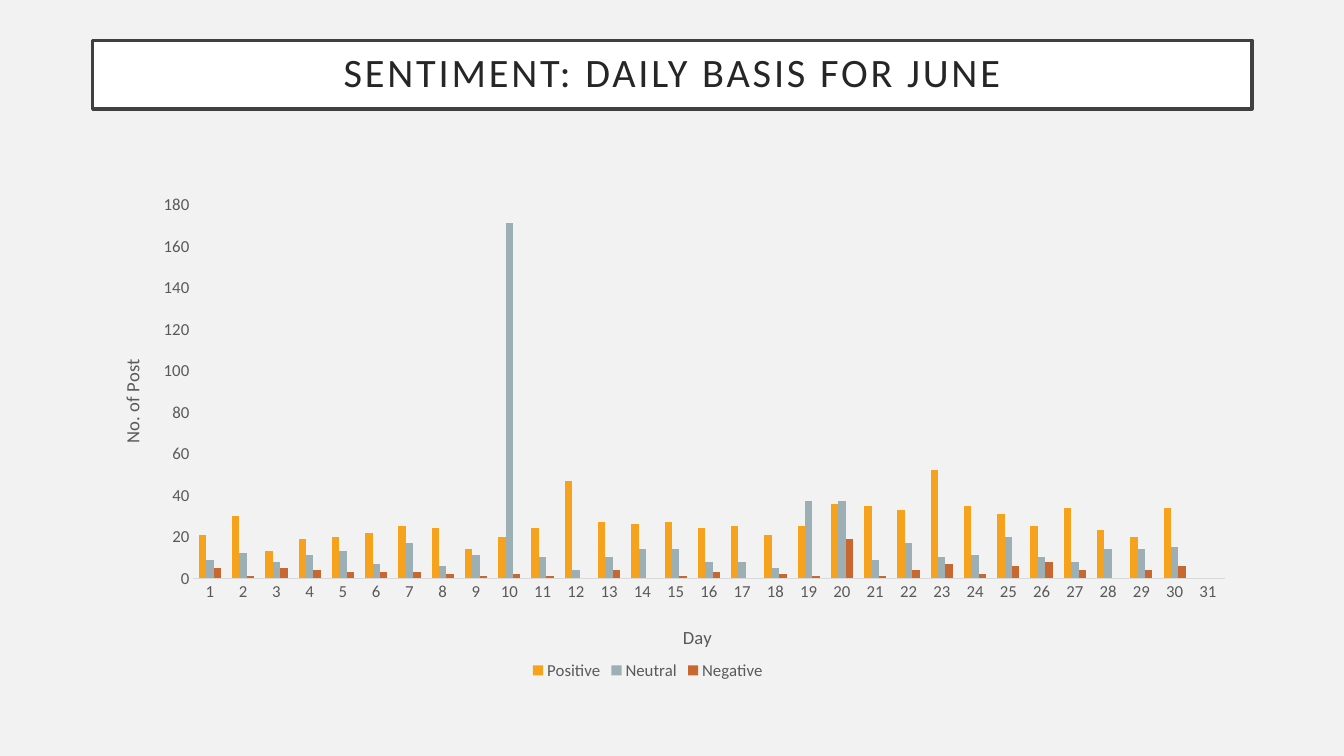
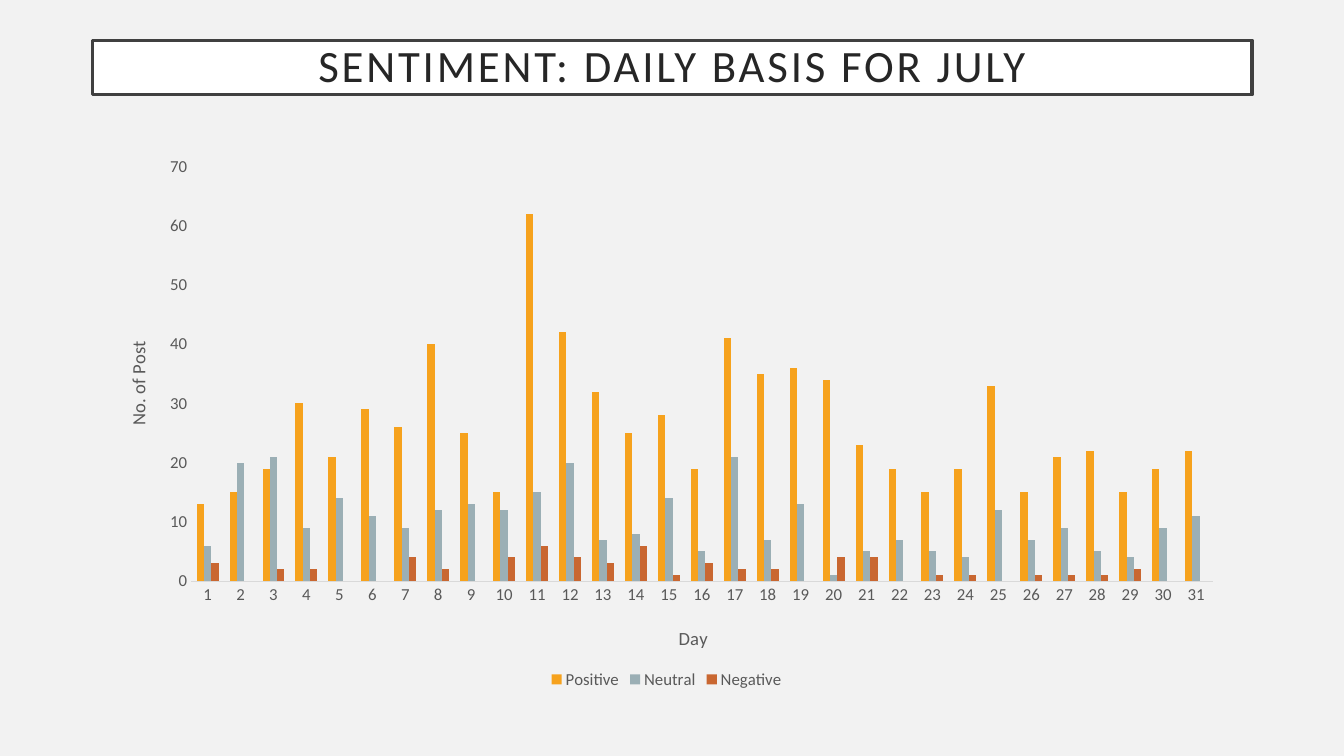
from dataclasses import dataclass
from lxml.etree import SubElement
from pptx import Presentation
from pptx.chart.data import CategoryChartData
from pptx.dml.color import RGBColor
from pptx.enum.chart import XL_CHART_TYPE, XL_LEGEND_POSITION, XL_TICK_MARK
from pptx.enum.text import MSO_ANCHOR, MSO_AUTO_SIZE, PP_ALIGN
from pptx.oxml.ns import qn
from pptx.util import Inches, Pt


@dataclass(frozen=True)
class Theme:
    font: str = "Calibri"
    background: str = "F2F2F2"
    band: str = "FFFFFF"
    border: str = "404040"
    title: str = "262626"
    text: str = "595959"
    axis: str = "D9D9D9"
    series: tuple = ("F6A21D", "9BAFB5", "C96731")
    label_size: float = 12
    axis_title_size: float = 13.3


theme = Theme()


def style(font, size, color):
    font.name, font.size, font.bold = theme.font, Pt(size), False
    font.color.rgb = RGBColor.from_string(color)


def place(parent, index, frame, box, inner=False):
    """Lay out a chart part; frame and box are in percent of the slide."""
    for old in parent.findall(qn("c:layout")):
        parent.remove(old)
    layout = SubElement(parent, qn("c:layout"))
    parent.insert(index, layout)
    manual = SubElement(layout, qn("c:manualLayout"))
    left, top, width, height = frame
    values = [("x", (box[0] - left) / width), ("y", (box[1] - top) / height)]
    if inner:
        SubElement(manual, qn("c:layoutTarget")).set("val", "inner")
        values += [("w", box[2] / width), ("h", box[3] / height)]
    for key in ("xMode", "yMode"):
        SubElement(manual, qn(f"c:{key}")).set("val", "edge")
    for key, value in values:
        SubElement(manual, qn(f"c:{key}")).set("val", f"{value:.4f}")


# Content: boxes are in percent of the slide's width and height
months = [
    dict(
        title="SENTIMENT: DAILY BASIS FOR JUNE", size=28.8, band_height=9.07,
        frame=(4.28, 18.53, 87.85, 72), plot=(14.38, 27.1, 76.74, 49.4),
        day=(50.56, 82.13), posts=(8.63, 47.07), top=180, step=20,
        Positive=[21, 30, 13, 19, 20, 22, 25, 24, 14, 20, 24, 47, 27, 26, 27, 24,
                  25, 21, 25, 36, 35, 33, 52, 35, 31, 25, 34, 23, 20, 34, None],
        Neutral=[9, 12, 8, 11, 13, 7, 17, 6, 11, 171, 10, 4, 10, 14, 14, 8,
                 8, 5, 37, 37, 9, 17, 10, 11, 20, 10, 8, 14, 14, 15, None],
        Negative=[5, 1, 5, 4, 3, 3, 3, 2, 1, 2, 1, None, 4, None, 1, 3,
                  None, 2, 1, 19, 1, 4, 7, 2, 6, 8, 4, None, 4, 6, None],
    ),
    dict(
        title="SENTIMENT: DAILY BASIS FOR JULY", size=32, band_height=7.2,
        frame=(7.88, 19.73, 83.42, 72), plot=(14.22, 22.03, 76, 54.86),
        day=(50.25, 82.27), posts=(9.08, 44.67), top=70, step=10,
        Positive=[13, 15, 19, 30, 21, 29, 26, 40, 25, 15, 62, 42, 32, 25, 28, 19,
                  41, 35, 36, 34, 23, 19, 15, 19, 33, 15, 21, 22, 15, 19, 22],
        Neutral=[6, 20, 21, 9, 14, 11, 9, 12, 13, 12, 15, 20, 7, 8, 14, 5,
                 21, 7, 13, 1, 5, 7, 5, 4, 12, 7, 9, 5, 4, 9, 11],
        Negative=[3, None, 2, 2, None, None, 4, 2, None, 4, 6, 4, 3, 6, 1, 3,
                  2, 2, None, 4, 4, None, 1, 1, None, 1, 1, 1, 2, None, None],
    ),
]

# Presentation and shared background
prs = Presentation()
prs.slide_width, prs.slide_height = Inches(13.33), Inches(7.5)
col, row = prs.slide_width / 100, prs.slide_height / 100
fill = prs.slide_master.background.fill
fill.solid()
fill.fore_color.rgb = RGBColor.from_string(theme.background)

for month in months:
    s = prs.slides.add_slide(prs.slide_layouts[5])

    # Title band
    sp = s.shapes.title
    sp.left, sp.top = int(6.9 * col), int(5.33 * row)
    sp.width, sp.height = int(86.25 * col), int(month["band_height"] * row)
    sp.fill.solid()
    sp.fill.fore_color.rgb = RGBColor.from_string(theme.band)
    sp.line.color.rgb = RGBColor.from_string(theme.border)
    sp.line.width = Pt(2.5)
    tf = sp.text_frame
    tf.text = month["title"]
    tf.word_wrap, tf.auto_size = True, MSO_AUTO_SIZE.NONE
    tf.vertical_anchor = MSO_ANCHOR.MIDDLE
    tf.margin_left = tf.margin_right = Inches(0.2)
    tf.margin_top = tf.margin_bottom = 0
    p = tf.paragraphs[0]
    p.alignment, p.line_spacing = PP_ALIGN.CENTER, 0.9
    r = p.runs[0]
    style(r.font, month["size"], theme.title)
    r.font._element.set("spc", "200")

    # Chart of posts by day
    data = CategoryChartData()
    data.categories = [str(day) for day in range(1, 32)]
    for name in ("Positive", "Neutral", "Negative"):
        data.add_series(name, month[name])
    frame = month["frame"]
    left, top, width, height = (int(v * unit) for v, unit in zip(frame, (col, row) * 2))
    chart = s.shapes.add_chart(
        XL_CHART_TYPE.COLUMN_CLUSTERED, left, top, width, height, data).chart
    style(chart.font, theme.label_size, theme.text)
    chart.has_title = False
    plot = chart.plots[0]
    plot.gap_width, plot.overlap, plot.vary_by_categories = 150, 0, False
    for series, color in zip(plot.series, theme.series):
        series.format.fill.solid()
        series.format.fill.fore_color.rgb = RGBColor.from_string(color)
        series.invert_if_negative = False
    place(chart._chartSpace.chart.plotArea, 0, frame, month["plot"], inner=True)

    # Legend
    chart.has_legend = True
    chart.legend.position = XL_LEGEND_POSITION.BOTTOM
    chart.legend.include_in_layout = False
    style(chart.legend.font, theme.label_size, theme.text)

    # Axes and their titles
    for axis, label, spot in ((chart.category_axis, "Day", month["day"]),
                              (chart.value_axis, "No. of Post", month["posts"])):
        axis.has_major_gridlines = False
        axis.major_tick_mark = axis.minor_tick_mark = XL_TICK_MARK.NONE
        style(axis.tick_labels.font, theme.label_size, theme.text)
        tf = axis.axis_title.text_frame
        tf.text = label
        style(tf.paragraphs[0].runs[0].font, theme.axis_title_size, theme.text)
        place(axis.axis_title._element, 1, frame, spot)
    line = chart.category_axis.format.line
    line.color.rgb, line.width = RGBColor.from_string(theme.axis), Pt(0.75)
    axis = chart.value_axis
    axis.format.line.fill.background()
    axis.minimum_scale, axis.maximum_scale = 0, month["top"]
    axis.major_unit = month["step"]

prs.save("out.pptx")
